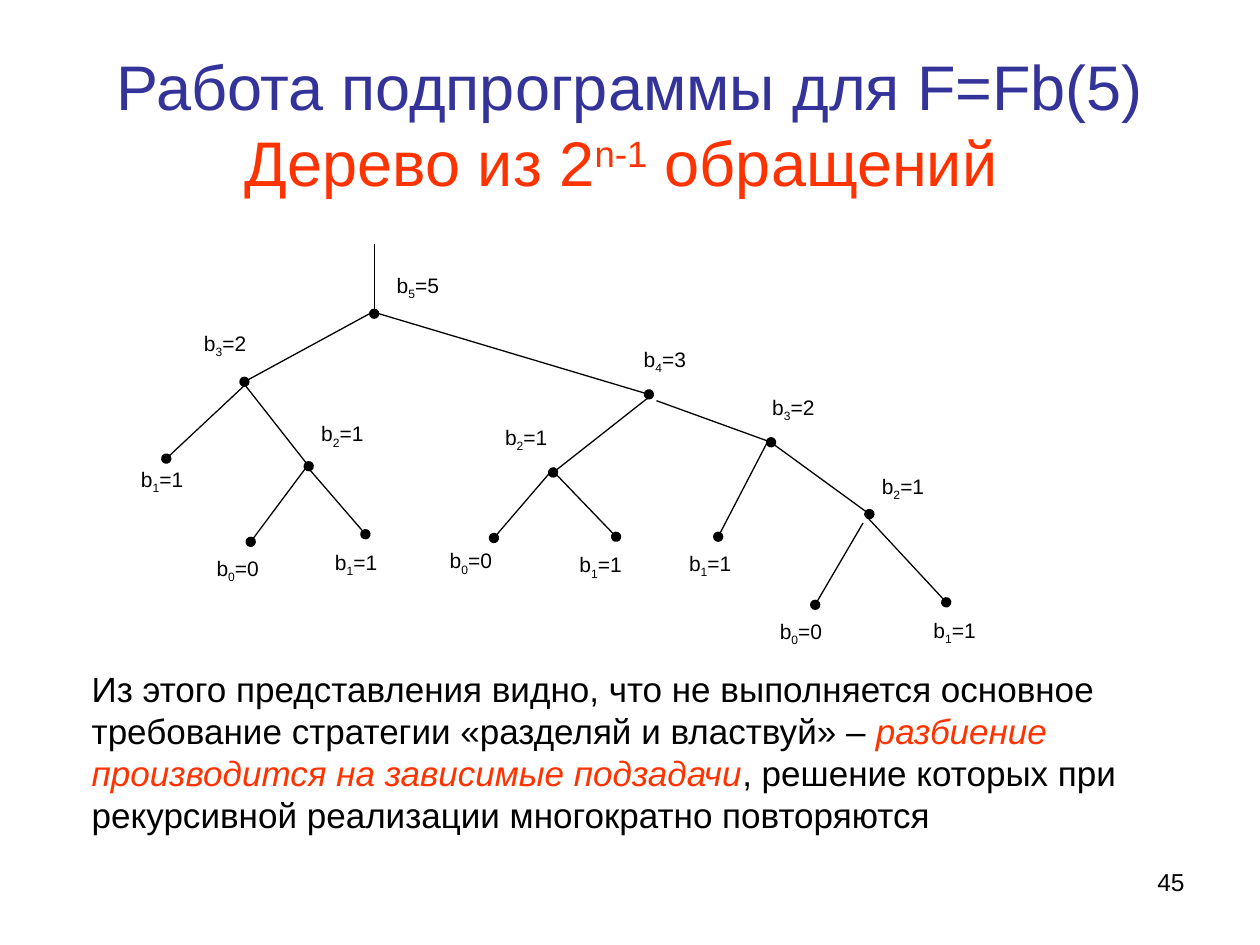
from lxml import etree
from pptx import Presentation
from pptx.dml.color import RGBColor
from pptx.enum.shapes import MSO_CONNECTOR
from pptx.enum.text import MSO_ANCHOR, PP_ALIGN
from pptx.oxml.ns import qn
from pptx.util import Inches, Pt

STRAIGHT = MSO_CONNECTOR.STRAIGHT
TOP, MIDDLE = MSO_ANCHOR.TOP, MSO_ANCHOR.MIDDLE
LEFT, CENTER, RIGHT = PP_ALIGN.LEFT, PP_ALIGN.CENTER, PP_ALIGN.RIGHT
BLACK, BLUE, RED = "000000", "333399", "FF3300"

# Branches of the call tree: start x, y, end x, y; the dot is at the end
BRANCHES = [
    (2.97, 1.94, 2.97, 2.49),
    (2.97, 2.47, 1.94, 3.03),
    (1.95, 3.05, 1.32, 3.64),
    (1.94, 3.05, 2.45, 3.70),
    (2.46, 3.67, 1.99, 4.30),
    (2.46, 3.73, 2.90, 4.24),
    (2.94, 2.47, 5.15, 3.13),
    (5.14, 3.16, 4.39, 3.75),
    (4.40, 3.75, 4.89, 4.26),
    (4.40, 3.71, 3.92, 4.27),
    (5.21, 3.18, 6.12, 3.51),
    (6.09, 3.51, 5.70, 4.26),
    (6.09, 3.49, 6.90, 4.08),
    (6.85, 4.15, 6.47, 4.80),
    (6.86, 4.08, 7.51, 4.78),
]

# Labels of the calls: left, top, index of b
LABELS = [
    (3.05, 2.11, 5), (1.52, 2.57, 3), (5.01, 2.70, 4), (6.03, 3.08, 3),
    (2.45, 3.29, 2), (3.91, 3.32, 2), (6.90, 3.71, 2), (1.02, 3.65, 1),
    (1.62, 4.36, 0), (2.56, 4.31, 1), (3.47, 4.30, 0), (4.50, 4.33, 1),
    (5.37, 4.32, 1), (6.09, 4.86, 0), (7.31, 4.85, 1),
]
FIBONACCI = [0, 1, 1, 2, 3, 5]
LABEL_WIDTH, LABEL_HEIGHT = 0.75, 0.45


def color(value):
    return RGBColor.from_string(value)


def add_span(para, text, size, fill=BLACK, italic=False, baseline=0):
    span = para.add_run()
    span.text = text
    span.font.name = "Arial"
    span.font.size = Pt(size)
    span.font.italic = italic
    span.font.color.rgb = color(fill)
    if baseline:
        span.font._element.set("baseline", str(baseline * 1000))


def add_para(page, left, top, width, height, align=LEFT, anchor=TOP):
    box = page.shapes.add_textbox(
        Inches(left), Inches(top), Inches(width), Inches(height))
    frame = box.text_frame
    frame.word_wrap = True
    frame.vertical_anchor = anchor
    para = frame.paragraphs[0]
    para.alignment = align
    return para


def add_title(page, left, top, width, height):
    para = add_para(page, left, top, width, height, CENTER, MIDDLE)
    add_span(para, "Работа подпрограммы для F=Fb(5)", 36, BLUE)
    para.add_line_break()
    add_span(para, "Дерево из 2", 36, RED)
    add_span(para, "n-1", 36, RED, baseline=30)
    # The closing space shifts the centred line slightly to the left
    add_span(para, " обращений ", 36, RED)


def add_branch(page, x1, y1, x2, y2):
    branch = page.shapes.add_connector(
        STRAIGHT, Inches(x1), Inches(y1), Inches(x2), Inches(y2))
    branch.line.color.rgb = color(BLACK)
    branch.line.width = Pt(0.75)
    tail = etree.SubElement(branch.line._get_or_add_ln(), qn("a:tailEnd"))
    tail.set("type", "oval")
    etree.SubElement(branch._element.spPr, qn("a:effectLst"))


def add_label(page, left, top, index):
    para = add_para(page, left, top, LABEL_WIDTH, LABEL_HEIGHT)
    add_span(para, "b", 12)
    add_span(para, str(index), 12, baseline=-25)
    add_span(para, f"={FIBONACCI[index]}", 12)


def add_tree(page, left, top):
    for x1, y1, x2, y2 in BRANCHES:
        add_branch(page, left + x1, top + y1, left + x2, top + y2)
    for x, y, index in LABELS:
        add_label(page, left + x, top + y, index)


def add_conclusion(page, left, top, width, height):
    para = add_para(page, left, top, width, height)
    add_span(para, "Из этого представления видно, что не выполняется основное "
                   "требование стратегии «разделяй и властвуй» – ", 20)
    add_span(para, "разбиение производится на зависимые подзадачи", 20, RED,
             italic=True)
    add_span(para, ", решение которых при рекурсивной реализации "
                   "многократно повторяются", 20)


def add_page_number(page, left, top, width, height):
    para = add_para(page, left, top, width, height, RIGHT)
    add_span(para, "45", 14)


def main():
    deck = Presentation()
    deck.slide_width, deck.slide_height = Inches(10), Inches(7.5)
    page = deck.slides.add_slide(deck.slide_layouts[6])
    add_title(page, 0.5, 0.3, 9, 1.36)
    add_tree(page, 0, 0)
    add_conclusion(page, 0.63, 5.25, 9.06, 1.44)
    add_page_number(page, 7.17, 6.83, 2.33, 0.52)
    deck.save("out.pptx")


if __name__ == "__main__":
    main()
